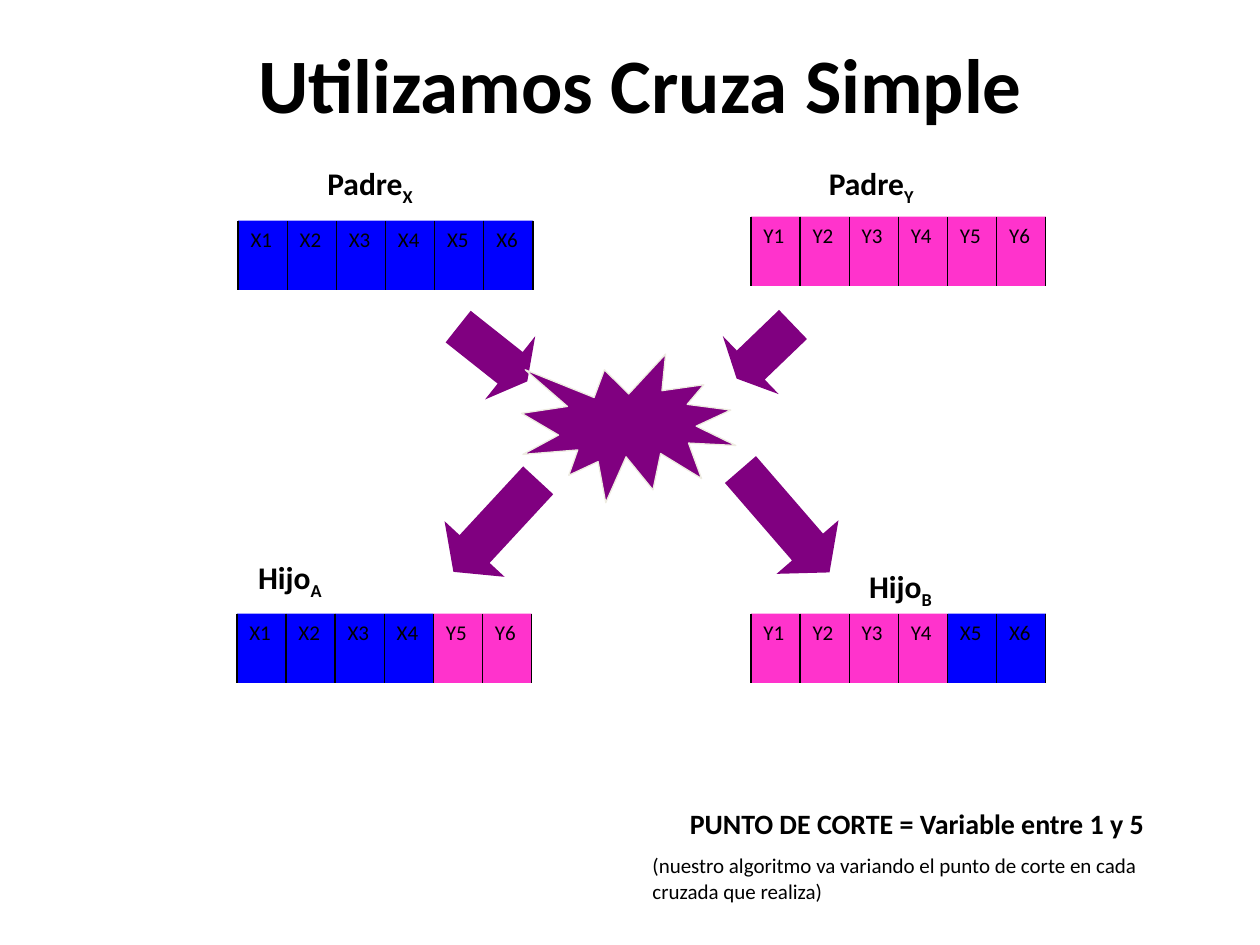
from lxml import etree
from pptx import Presentation, util as u
from pptx.dml.color import RGBColor
from pptx.enum import shapes, text
from pptx.oxml.ns import qn

# Content
TITLE = "Utilizamos Cruza Simple"
CUT_POINT = "PUNTO DE CORTE = Variable entre 1 y 5"
CUT_NOTE = "(nuestro algoritmo va variando el punto de corte en cada cruzada que realiza)"
COLORS = {"X": "0000FF", "Y": "FF33CC", "cross": "800080",
          "edge": "EEECE1", "ink": "000000"}
FONT = "Calibri"

# Genes of each chromosome, with the left and top of its strip
CHROMOSOMES = [
    ("X1 X2 X3 X4 X5 X6", 1.89, 1.75),
    ("Y1 Y2 Y3 Y4 Y5 Y6", 5.96, 1.72),
    ("X1 X2 X3 X4 Y5 Y6", 1.88, 4.87),
    ("Y1 Y2 Y3 Y4 X5 X6", 5.96, 4.87),
]
GENE_W, GENE_H = 0.39, 0.55

# Name, subscript, left, top, width
LABELS = [
    ("Padre", "X", 2.5, 1.25, 1.8),
    ("Padre", "Y", 6.48, 1.25, 1.6),
    ("Hijo", "A", 1.95, 4.38, 1.78),
    ("Hijo", "B", 6.8, 4.45, 1.57),
]
LABEL_H = 0.44

# Left, top, width, height, rotation, head length
ARROWS = [
    (3.56, 2.49, 0.7, 0.64, 38.4, 0.27),
    (5.76, 2.47, 0.62, 0.64, 136.1, 0.25),
    (3.44, 3.85, 0.99, 0.65, 132.8, 0.38),
    (5.69, 3.81, 1.08, 0.65, 49.1, 0.41),
]
BURST = (4.14, 2.81, 1.7, 1.18)

prs = Presentation()
prs.slide_width, prs.slide_height = u.Inches(10), u.Inches(7.5)
slide = prs.slides.add_slide(prs.slide_layouts[6])


def inches(*lengths):
    return [u.Inches(length) for length in lengths]


def color(name):
    return RGBColor.from_string(COLORS[name])


def style(run, size, bold=False):
    run.font.name, run.font.size, run.font.bold = FONT, u.Pt(size), bold
    run.font.color.rgb = color("ink")


def add_filled(preset, box, fill):
    shape = slide.shapes.add_shape(preset, *inches(*box))
    shape.shadow.inherit = False
    shape.fill.solid()
    shape.fill.fore_color.rgb = color(fill)
    shape.line.fill.background()
    return shape


def add_text(box, *paragraphs):
    frame = slide.shapes.add_textbox(*inches(*box)).text_frame
    frame.word_wrap = True
    frame.text = "\n".join(words for words, _, _ in paragraphs)
    for paragraph, (_, size, bold) in zip(frame.paragraphs, paragraphs):
        style(paragraph.runs[0], size, bold)
    return frame


def add_gene(gene, left, top):
    cell = add_filled(shapes.MSO_SHAPE.RECTANGLE, (left, top, GENE_W, GENE_H), gene[0])
    frame = cell.text_frame
    frame.vertical_anchor = text.MSO_ANCHOR.TOP
    frame.text = gene
    frame.paragraphs[0].alignment = text.PP_ALIGN.LEFT
    style(frame.paragraphs[0].runs[0], 12)


def add_divider(x, top):
    divider = slide.shapes.add_connector(
        shapes.MSO_CONNECTOR.STRAIGHT, *inches(x, top, x, top + GENE_H))
    divider.line.color.rgb = color("ink")
    divider.line.width = u.Pt(0.75)
    etree.SubElement(divider.line._get_or_add_ln().getparent(), qn("a:effectLst"))


# Chromosomes: a strip of genes with a divider at every edge
for genes, left, top in CHROMOSOMES:
    genes = genes.split()
    for i, gene in enumerate(genes):
        add_gene(gene, left + i * GENE_W, top)
    for i in range(len(genes) + 1):
        add_divider(left + i * GENE_W, top)

# Crossover: arrows into and out of the burst
for *box, rotation, head in ARROWS:
    arrow = add_filled(shapes.MSO_SHAPE.RIGHT_ARROW, box, "cross")
    arrow.rotation = rotation
    arrow.adjustments[1] = head
burst = add_filled(shapes.MSO_SHAPE.EXPLOSION1, BURST, "cross")
burst.line.color.rgb = color("edge")
burst.line.width = u.Pt(0.75)

# Cut point note
note = add_text((5.08, 6.35, 4.1, 0.87), (CUT_POINT, 16, True), (CUT_NOTE, 12, False))
note.paragraphs[0].alignment = text.PP_ALIGN.RIGHT
note.paragraphs[1].space_before = u.Pt(7.5)

# Labels with subscripts
for name, subscript, left, top, width in LABELS:
    label = add_text((left, top, width, LABEL_H), (name, 18, True))
    run = label.paragraphs[0].add_run()
    run.text = subscript
    style(run, 18, True)
    run.font._element.set("baseline", "-25000")

# Title
title = add_text((1.56, 0.31, 7.05, 0.79), (TITLE, 44, True))
title.vertical_anchor = text.MSO_ANCHOR.MIDDLE
title.paragraphs[0].alignment = text.PP_ALIGN.CENTER
title.paragraphs[0].line_spacing = 0.9

prs.save("out.pptx")
